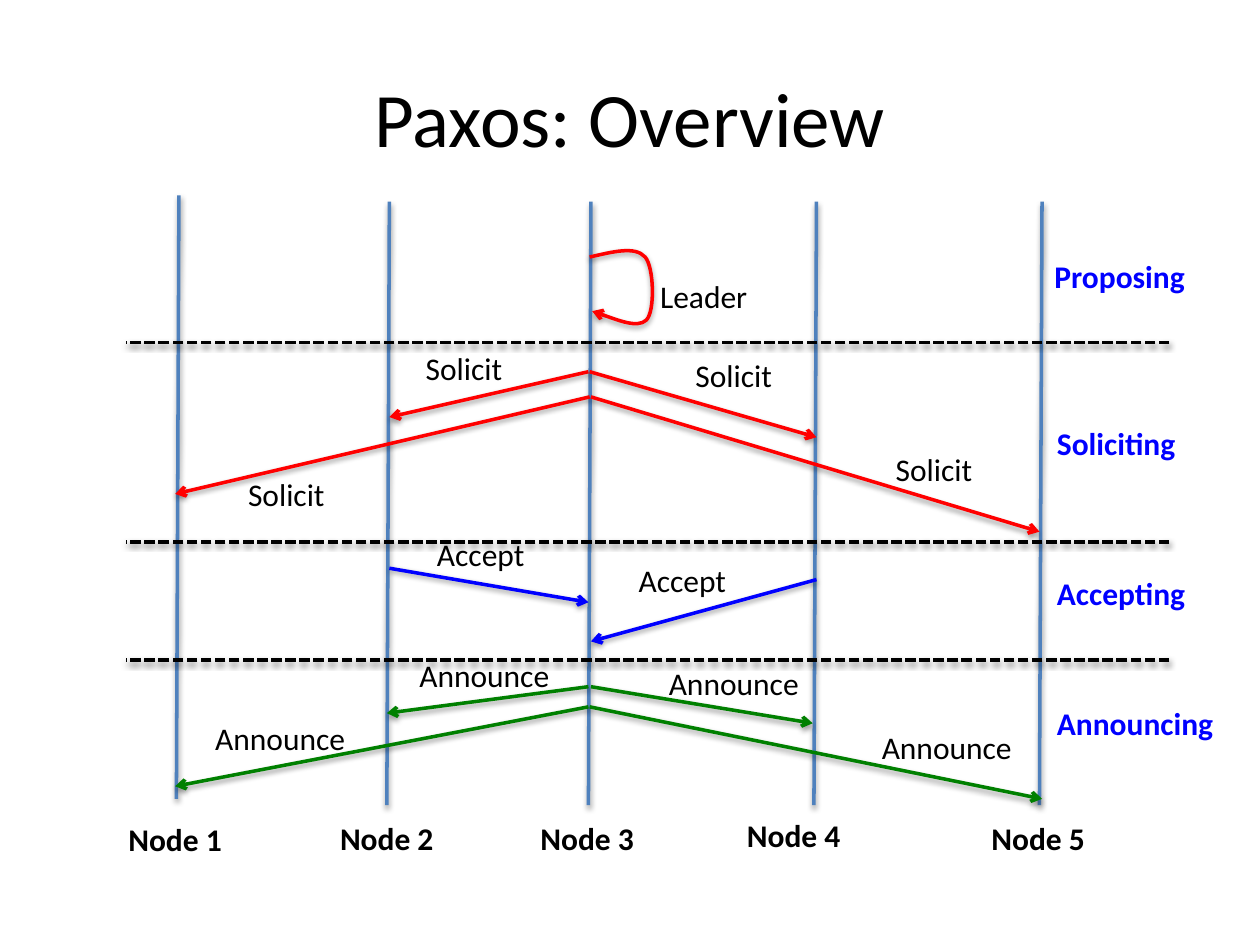
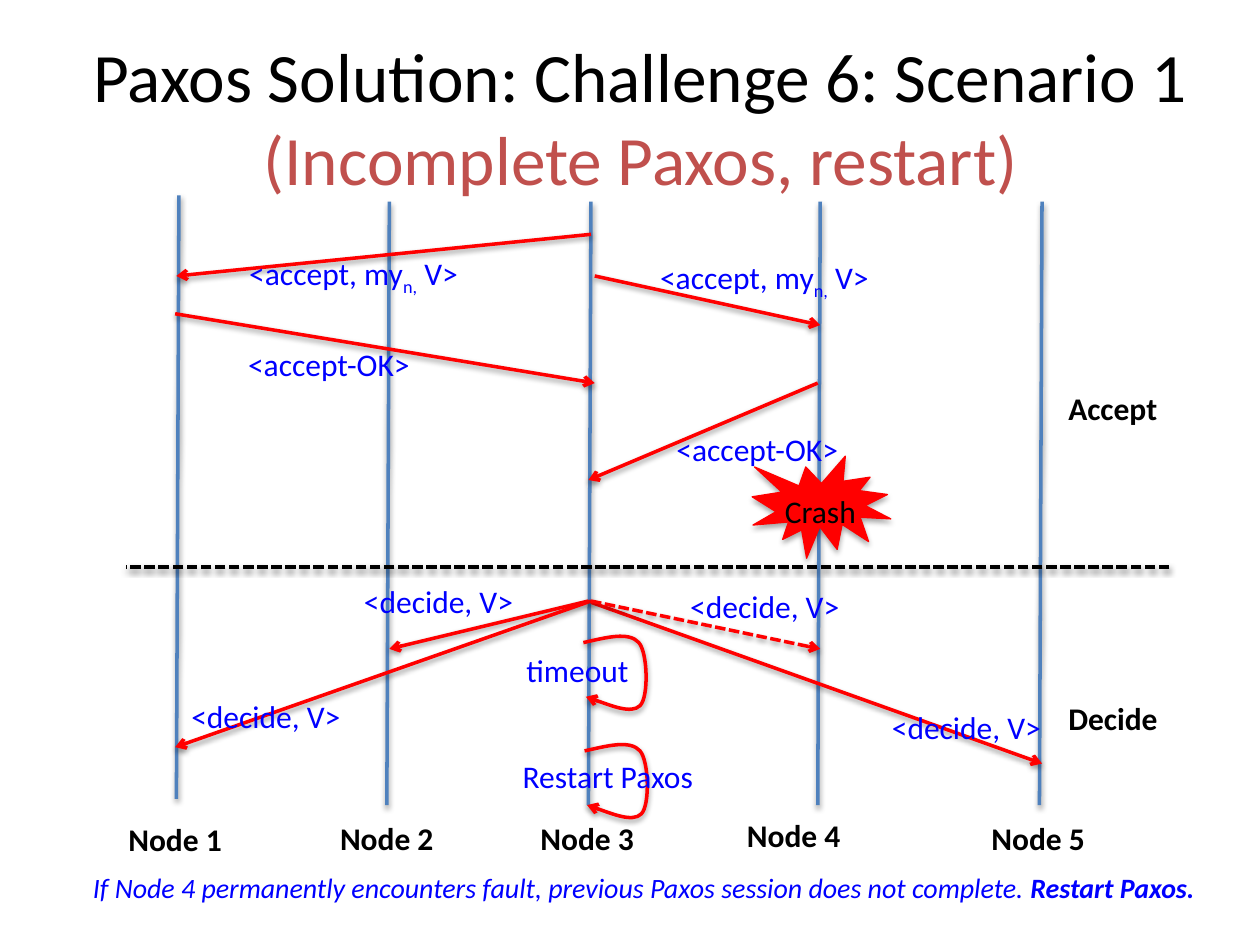
from lxml.etree import SubElement
from pptx import Presentation
from pptx.dml.color import RGBColor
from pptx.enum.dml import MSO_LINE
from pptx.enum.shapes import MSO_CONNECTOR, MSO_SHAPE
from pptx.enum.text import MSO_ANCHOR, MSO_AUTO_SIZE, PP_ALIGN
from pptx.oxml.ns import qn
from pptx.util import Cm, Pt

COLOURS = {
    "black": "000000",
    "node": "4F81BD",
    "red": "FF0000",
    "blue": "0000FF",
    "green": "008000",
    "subtitle": "C0504D",
}
FONT = "Calibri"
NODE_TOPS = [(1.42, 1.55), (3.09, 1.6), (4.69, 1.6), (6.48, 1.6), (8.27, 1.6)]
NODE_LABELS = [(0.92, 6.46), (2.6, 6.45), (4.19, 6.45), (5.83, 6.43), (7.77, 6.45)]
NODE_LEAN, NODE_HEIGHT = 0.02, 4.79
LOOP_STEPS = [
    (0.18, -0.04), (0.36, -0.09), (0.44, 0),
    (0.51, 0.08), (0.52, 0.43), (0.45, 0.5),
    (0.38, 0.57), (0.02, 0.43), (0.02, 0.43),
]


def inch(value):
    return Cm(round(value * 2.54, 3))


def colour(name):
    return RGBColor.from_string(COLOURS[name])


class Diagram:
    def __init__(self, deck):
        self.deck = deck
        self.page = None

    def start(self, lines, size, width):
        self.page = self.deck.slides.add_slide(self.deck.slide_layouts[5])
        title = self.page.shapes.title
        title.left, title.top = inch(0.5), inch(0.3)
        title.width, title.height = inch(width), inch(1.25)
        frame = title.text_frame
        frame.text = "\v".join(text for text, _ in lines)
        frame.auto_size = MSO_AUTO_SIZE.NONE
        frame.vertical_anchor = MSO_ANCHOR.MIDDLE
        para = frame.paragraphs[0]
        para.alignment = PP_ALIGN.CENTER
        for span, (_, name) in zip(para.runs, lines):
            self.style(span, size, name)

    def style(self, span, size, name, bold=False, italic=False):
        span.font.name = FONT
        span.font.size = Pt(size)
        span.font.bold = bold
        span.font.italic = italic
        span.font.color.rgb = colour(name)

    def shadow(self, shape, distance=20000, alpha=38000):
        effects = SubElement(shape._element.spPr, qn("a:effectLst"))
        outer = SubElement(effects, qn("a:outerShdw"), blurRad="40000",
                           dist=str(distance), dir="5400000", rotWithShape="0")
        black = SubElement(outer, qn("a:srgbClr"), val=COLOURS["black"])
        SubElement(black, qn("a:alpha"), val=str(alpha))

    def stroke(self, shape, name, dashed=False, arrow=False):
        shape.line.color.rgb = colour(name)
        shape.line.width = Pt(2)
        if dashed:
            shape.line.dash_style = MSO_LINE.SQUARE_DOT
        if arrow:
            line = shape._element.spPr.find(qn("a:ln"))
            SubElement(line, qn("a:tailEnd"), type="arrow")
        self.shadow(shape)

    def line(self, start, end, name, dashed=False, arrow=False):
        connector = self.page.shapes.add_connector(
            MSO_CONNECTOR.STRAIGHT, *map(inch, start + end))
        self.stroke(connector, name, dashed, arrow)

    def message(self, start, end, name="red", dashed=False):
        self.line(start, end, name, dashed, arrow=True)

    def divider(self, top):
        self.line((9.28, top), (1, top), "black", dashed=True)

    def label(self, text, left, top, width, name="black", bold=False, height=0.4):
        box = self.page.shapes.add_textbox(*map(inch, (left, top, width, height)))
        frame = box.text_frame
        frame.word_wrap = False
        frame.text = text
        para = frame.paragraphs[0]
        self.style(para.runs[0], 18, name, bold)
        return para

    def accept_label(self, left, top):
        para = self.label("<accept, my", left, top, 1.96, "blue", height=0.71)
        for text in ("n,", " V>"):
            span = para.add_run()
            span.text = text
            self.style(span, 18, "blue")
        para.runs[1].font._element.set("baseline", "-25000")

    def footnote(self, text, ending):
        para = self.label(text, 0.61, 6.86, 9.05, height=0.37)
        para.alignment = PP_ALIGN.CENTER
        self.style(para.runs[0], 16, "blue", italic=True)
        span = para.add_run()
        span.text = ending
        self.style(span, 16, "blue", bold=True, italic=True)

    def nodes(self, fourth_shift=0):
        for number, ((left, top), place) in enumerate(zip(NODE_TOPS, NODE_LABELS), 1):
            if number == 4:
                left += fourth_shift
            foot = (left - NODE_LEAN, top + NODE_HEIGHT)
            self.line((left, top), foot, "node")
            self.label(f"Node {number}", *place, 0.95, bold=True)

    def loop(self, left, top):
        builder = self.page.shapes.build_freeform(inch(left), inch(top))
        builder.add_line_segments(
            [(inch(left + x), inch(top + y)) for x, y in LOOP_STEPS], close=False)
        shape = builder.convert_to_shape()
        outline = shape._element.spPr.find(".//" + qn("a:path"))
        segments = outline.findall(qn("a:lnTo"))
        for first in range(0, len(segments), 3):
            curve = SubElement(outline, qn("a:cubicBezTo"))
            for segment in segments[first:first + 3]:
                curve.append(segment[0])
                outline.remove(segment)
        shape.fill.background()
        self.stroke(shape, "red", arrow=True)

    def burst(self, left, top, width, height):
        shape = self.page.shapes.add_shape(
            MSO_SHAPE.EXPLOSION1, *map(inch, (left, top, width, height)))
        shape.fill.solid()
        shape.fill.fore_color.rgb = colour("red")
        shape.line.color.rgb = colour("red")
        shape.line.width = Pt(0.75)
        self.shadow(shape, 23000, 35000)


def build_overview(diagram):
    diagram.start([("Paxos: Overview", "black")], 44, 9)
    diagram.nodes()
    diagram.loop(4.68, 2.04)
    diagram.label("Leader", 5.14, 2.15, 0.91)

    messages = {
        "red": [((4.67, 2.95), (3.09, 3.31)), ((4.68, 3.15), (1.39, 3.92)),
                ((4.68, 2.95), (6.48, 3.47)), ((4.69, 3.15), (8.25, 4.22))],
        "blue": [((3.09, 4.51), (4.67, 4.78)), ((6.48, 4.6), (4.69, 5.09))],
        "green": [((4.67, 5.45), (3.07, 5.66)), ((4.67, 5.61), (1.39, 6.24)),
                  ((4.69, 5.45), (6.45, 5.74)), ((4.68, 5.61), (8.27, 6.34))],
    }
    for name, arrows in messages.items():
        for start, end in arrows:
            diagram.message(start, end, name)

    captions = [
        ("Solicit", 0.82, [(3.28, 2.72), (1.87, 3.72), (5.42, 2.78), (7.01, 3.52)]),
        ("Accept", 0.9, [(3.37, 4.2), (4.97, 4.4)]),
        ("Announce", 1.24, [(3.23, 5.16), (1.61, 5.66), (5.21, 5.22), (6.9, 5.73)]),
    ]
    for text, width, places in captions:
        for place in places:
            diagram.label(text, *place, width)

    for top in (2.72, 4.3, 5.24):
        diagram.divider(top)
    phases = [("Proposing", 8.27, 1.99, 1.25), ("Soliciting", 8.29, 3.32, 1.16),
              ("Accepting", 8.29, 4.51, 1.24), ("Announcing", 8.29, 5.54, 1.46)]
    for phase in phases:
        diagram.label(*phase, "blue", bold=True)


def build_restart(diagram):
    diagram.start([("Paxos Solution: Challenge 6: Scenario 1", "black"),
                   ("(Incomplete Paxos, restart)", "subtitle")], 39.6, 9.17)
    diagram.nodes(fourth_shift=0.03)

    accepts = [((1.39, 2.49), (4.72, 3.04)), ((6.49, 3.04), (4.67, 3.81)),
               ((4.69, 1.86), (1.4, 2.19)), ((4.72, 2.19), (6.51, 2.58))]
    decides = [((4.67, 4.77), (3.09, 5.15)), ((4.69, 4.77), (1.39, 5.93)),
               ((4.69, 4.78), (8.27, 6.06))]
    for start, end in accepts + decides:
        diagram.message(start, end)
    diagram.message((4.69, 4.77), (6.51, 5.15), dashed=True)
    diagram.divider(4.5)

    for place in [(1.88, 1.97), (5.14, 2)]:
        diagram.accept_label(*place)
    captions = [
        ("<accept-OK>", 1.51, [(1.87, 2.69), (5.27, 3.36)]),
        ("<decide, V>", 1.4, [(1.42, 5.48), (2.79, 4.57), (5.38, 4.61), (6.98, 5.57)]),
    ]
    for text, width, places in captions:
        for place in places:
            diagram.label(text, *place, width, "blue", height=0.71)
    for phase, top in [("Accept", 3.04), ("Decide", 5.5)]:
        diagram.label(phase, 8.38, top, 0.92, bold=True, height=0.71)

    diagram.footnote(
        "If Node 4 permanently encounters fault, previous Paxos session does not complete. ",
        "Restart Paxos. ")
    diagram.burst(5.97, 3.62, 1.1, 0.81)
    diagram.label("Crash", 6.13, 3.86, 0.78)
    diagram.loop(4.63, 5.1)
    diagram.loop(4.64, 5.96)
    diagram.label("timeout", 4.08, 5.12, 1.02, "blue", height=0.71)
    diagram.label("Restart Paxos", 4.05, 5.96, 1.59, "blue", height=0.71)


def main():
    deck = Presentation()
    deck.slide_width, deck.slide_height = Cm(25.4), Cm(19.05)
    diagram = Diagram(deck)
    build_overview(diagram)
    build_restart(diagram)
    deck.save("out.pptx")


if __name__ == "__main__":
    main()
